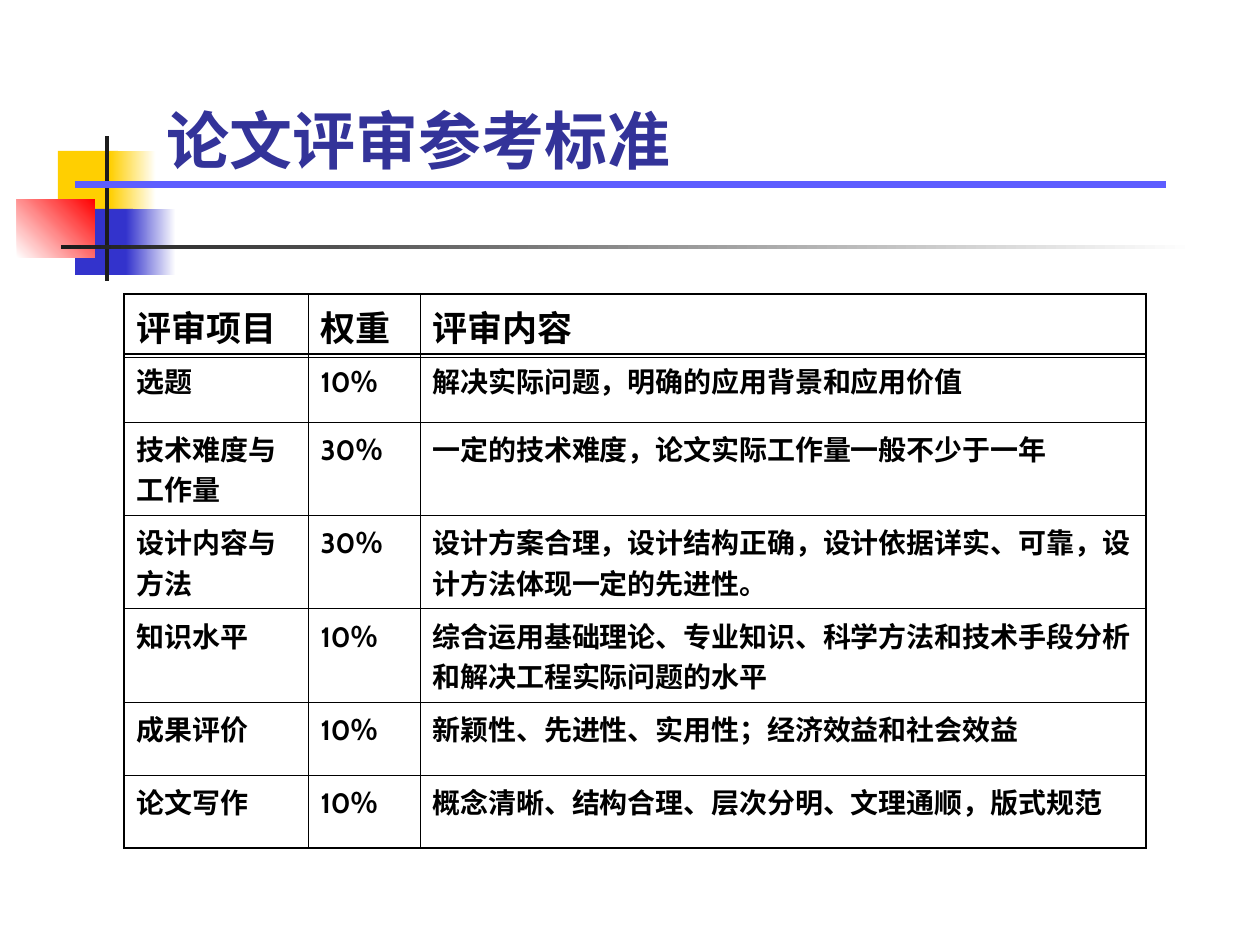
from pptx import Presentation
from pptx.dml.color import RGBColor
from pptx.enum.shapes import MSO_CONNECTOR, MSO_SHAPE
from pptx.enum.text import MSO_ANCHOR, MSO_AUTO_SIZE, PP_ALIGN
from pptx.oxml.ns import qn
from pptx.util import Emu, Pt
from lxml.etree import SubElement

SCALE = 914400 / 126
FONT = "Cabin"
COLORS = {
    "yellow": "FFCF01", "blue": "3333CC", "red": "FF0000", "white": "FFFFFF",
    "dark": "1C1C1C", "rule": "5D5DFF", "title": "333399", "black": "000000",
}
THIN, THICK = 0.45, 1.08
COLUMNS = [184, 112, 726]
HEADER = [("评审项目", "权重", "评审内容")]
CRITERIA = [
    ("选题", "10％", "解决实际问题，明确的应用背景和应用价值"),
    ("技术难度与工作量", "30％", "一定的技术难度，论文实际工作量一般不少于一年"),
    ("设计内容与方法", "30％", "设计方案合理，设计结构正确，设计依据详实、可靠，设计方法体现一定的先进性。"),
    ("知识水平", "10％", "综合运用基础理论、专业知识、科学方法和技术手段分析和解决工程实际问题的水平"),
    ("成果评价", "10％", "新颖性、先进性、实用性；经济效益和社会效益"),
    ("论文写作", "10％", "概念清晰、结构合理、层次分明、文理通顺，版式规范"),
]


def px(n):
    return Emu(round(n * SCALE))


def rgb(name):
    return RGBColor.from_string(COLORS[name])


def style_text(p, size, color):
    for r in p.runs:
        r.font.name = FONT
        r.font.size = Pt(size)
        r.font.bold = True
        r.font.color.rgb = rgb(color)


def add_block(slide, box, *colors, angle=0):
    """Add a borderless rectangle: one colour is solid, two make a gradient."""
    sp = slide.shapes.add_shape(MSO_SHAPE.RECTANGLE, *map(px, box))
    sp.shadow.inherit = False
    sp.line.fill.background()
    if len(colors) == 1:
        sp.fill.solid()
        sp.fill.fore_color.rgb = rgb(colors[0])
    else:
        sp.fill.gradient()
        sp.fill.gradient_angle = angle
        for stop, color in zip(sp.fill.gradient_stops, colors):
            stop.color.rgb = rgb(color)


def add_rule(slide, x1, x2, y, color, width):
    line = slide.shapes.add_connector(MSO_CONNECTOR.STRAIGHT, px(x1), px(y), px(x2), px(y))
    line.line.color.rgb = rgb(color)
    line.line.width = Pt(width)
    SubElement(line._element.spPr, qn("a:effectLst"))


def set_title(slide, box, text):
    title = slide.shapes.title
    title.left, title.top, title.width, title.height = map(px, box)
    tf = title.text_frame
    tf.text = text
    tf.auto_size = MSO_AUTO_SIZE.NONE
    tf.vertical_anchor = MSO_ANCHOR.BOTTOM
    tf.paragraphs[0].alignment = PP_ALIGN.LEFT
    style_text(tf.paragraphs[0], 36, "title")


def set_borders(cell, widths):
    """Draw the cell borders; widths maps L, R, T and B to points."""
    tc_pr = cell._tc.get_or_add_tcPr()
    for i, side in enumerate("LRTB"):
        ln = SubElement(tc_pr, qn(f"a:ln{side}"), w=str(Pt(widths[side])))
        fill = SubElement(ln, qn("a:solidFill"))
        SubElement(fill, qn("a:srgbClr"), val=COLORS["black"])
        tc_pr.insert(i, ln)


def add_grid(slide, top, heights, rows, size, thick_top, thick_bottom):
    """Add a table with thick outer sides and thin inner lines."""
    frame = slide.shapes.add_table(len(rows), len(COLUMNS), px(124), px(top),
                                   px(sum(COLUMNS)), px(sum(heights)))
    table = frame.table
    table.first_row = table.horz_banding = False
    for col, width in zip(table.columns, COLUMNS):
        col.width = px(width)
    for i, (values, height) in enumerate(zip(rows, heights)):
        table.rows[i].height = px(height)
        for j, text in enumerate(values):
            cell = table.cell(i, j)
            cell.text = text
            style_text(cell.text_frame.paragraphs[0], size, "black")
            cell.fill.background()
            thick = {
                "L": j == 0,
                "R": j == len(COLUMNS) - 1,
                "T": thick_top and i == 0,
                "B": thick_bottom and i == len(rows) - 1,
            }
            set_borders(cell, {side: THICK if on else THIN for side, on in thick.items()})


def main():
    prs = Presentation()
    prs.slide_width, prs.slide_height = px(1260), px(945)
    slide = prs.slides.add_slide(prs.slide_layouts[5])

    add_block(slide, (58, 151, 60, 66), "yellow")
    add_block(slide, (110, 151, 46, 66), "yellow", "white")
    add_block(slide, (75, 209, 58, 66), "blue")
    add_block(slide, (126, 209, 50, 66), "blue", "white")
    add_block(slide, (17, 199, 78, 59), "white", "red", angle=45)
    add_block(slide, (105, 136, 4, 145), "dark")
    add_block(slide, (61, 245, 1134, 4), "dark", "white")
    add_rule(slide, 75, 1166, 185, "rule", 4)

    set_title(slide, (154, 76, 1017, 107), "论文评审参考标准")
    add_grid(slide, 354, [68, 91, 91, 91, 73, 73], CRITERIA, 16, True, True)
    add_grid(slide, 294, [54], HEADER, 20, True, False)
    prs.save("out.pptx")


if __name__ == "__main__":
    main()
